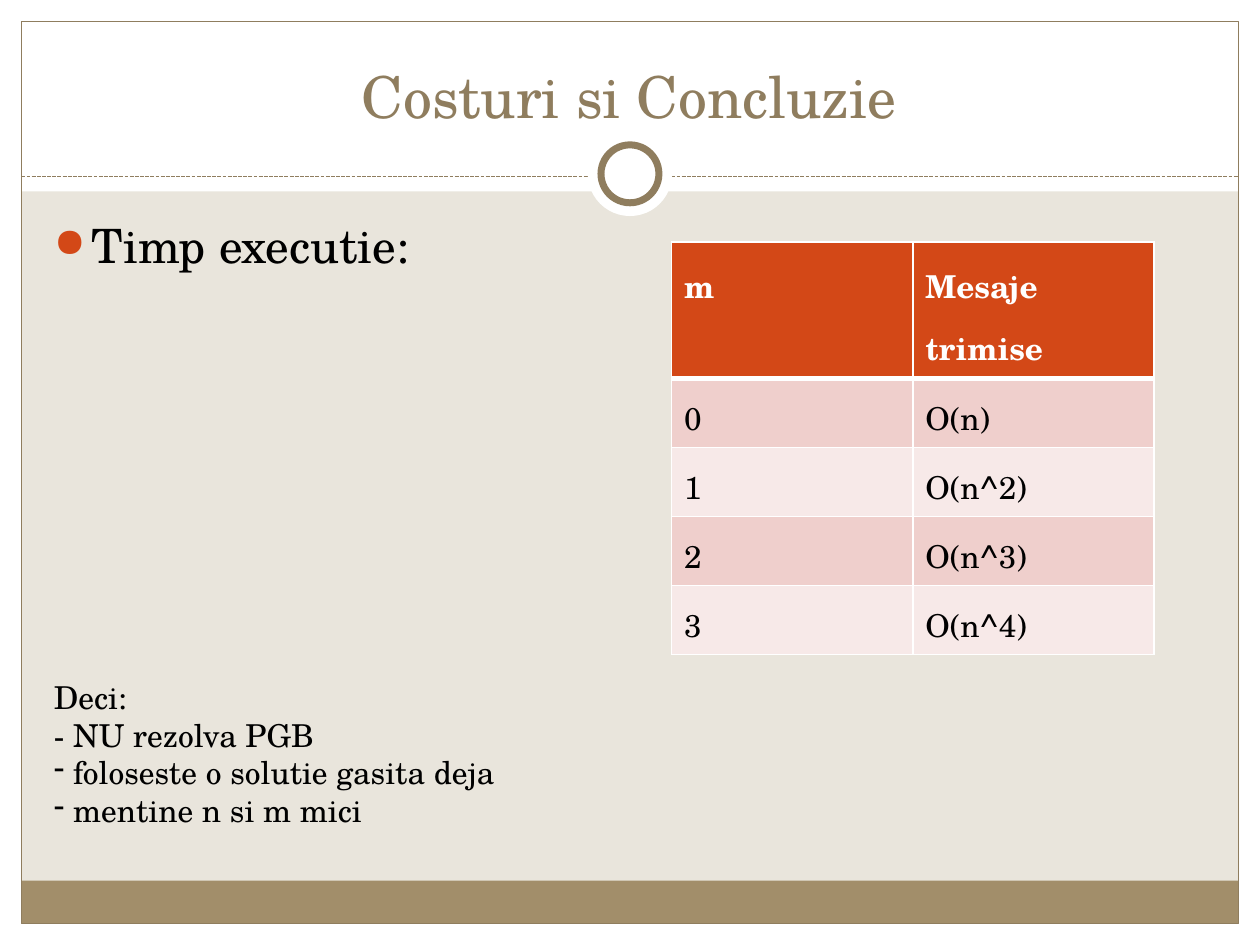
from dataclasses import dataclass

from lxml import etree
from pptx import Presentation
from pptx.dml.color import RGBColor
from pptx.enum.dml import MSO_LINE
from pptx.enum.shapes import MSO_CONNECTOR, MSO_SHAPE
from pptx.enum.text import MSO_ANCHOR, MSO_AUTO_SIZE, PP_ALIGN
from pptx.oxml.ns import qn
from pptx.util import Inches, Pt

RECT, OVAL = MSO_SHAPE.RECTANGLE, MSO_SHAPE.OVAL
STRAIGHT = MSO_CONNECTOR.STRAIGHT
SYS_DASH = MSO_LINE.SQUARE_DOT
CENTER = PP_ALIGN.CENTER
BOTTOM, TOP = MSO_ANCHOR.BOTTOM, MSO_ANCHOR.TOP
FIT_SHAPE, NO_FIT = MSO_AUTO_SIZE.SHAPE_TO_FIT_TEXT, MSO_AUTO_SIZE.NONE


@dataclass(frozen=True)
class Theme:
    font: str = "TeX Gyre Schola"
    title_size: float = 33
    body_size: float = 27
    text_size: float = 18
    white: str = "FFFFFF"
    black: str = "000000"
    sand: str = "E9E5DC"
    tan: str = "A28E6A"
    brown: str = "8F7D5E"
    accent: str = "D34817"
    bands: tuple = ("EFCFCC", "F7E9E8")


THEME = Theme()
W, H = 10, 7.5
EDGE = 0.17
RULE_Y = 1.4
RING_Y = 1.38
COSTS = [("m", "Mesaje trimise"), ("0", "O(n)"), ("1", "O(n^2)"),
         ("2", "O(n^3)"), ("3", "O(n^4)")]


def rgb(color):
    return RGBColor.from_string(color)


def inches(*lengths):
    return [Inches(v) for v in lengths]


def apply(obj, values):
    for name, value in values.items():
        setattr(obj, name, value)


def add_block(s, kind, box, fill=None, line=None, width=0.75):
    sp = s.shapes.add_shape(kind, *inches(*box))
    sp.shadow.inherit = False
    if fill:
        sp.fill.solid()
        sp.fill.fore_color.rgb = rgb(fill)
    else:
        sp.fill.background()
    if line:
        sp.line.color.rgb = rgb(line)
        sp.line.width = Pt(width)
    else:
        sp.line.fill.background()


def add_disc(s, size, **style):
    add_block(s, OVAL, ((W - size) / 2, RING_Y - size / 2, size, size),
              THEME.white, **style)


def add_rule(s):
    ln = s.shapes.add_connector(STRAIGHT, *inches(EDGE, RULE_Y, W - EDGE, RULE_Y))
    apply(ln.line, {"width": Pt(0.75), "dash_style": SYS_DASH})
    ln.line.color.rgb = rgb(THEME.brown)
    sp_pr = ln.element.find(qn("p:spPr"))
    etree.SubElement(sp_pr, qn("a:effectLst"))


def add_frame(s):
    inner = W - 2 * EDGE
    for box in ((0, H - EDGE, W, EDGE), (0, 0, W, 1.52),
                (0, 0, EDGE, H), (W - EDGE, 0, EDGE, H)):
        add_block(s, RECT, box, THEME.white)
    add_block(s, RECT, (EDGE, 6.99, inner, 0.34), THEME.tan)
    add_block(s, RECT, (EDGE, EDGE, inner, H - 2 * EDGE), line=THEME.brown)
    add_rule(s)
    add_disc(s, 0.67)
    add_disc(s, 0.46, line=THEME.brown, width=4)


def write(p, text, size, color, bold=False):
    r = p.add_run()
    r.text = text
    apply(r.font, {"name": THEME.font, "size": Pt(size), "bold": bold})
    r.font.color.rgb = rgb(color)


def add_bullet(p, char, color=None, percent=None):
    p_pr = p._p.get_or_add_pPr()
    if color:
        clr = etree.SubElement(p_pr, qn("a:buClr"))
        etree.SubElement(clr, qn("a:srgbClr"), val=color)
    if percent:
        etree.SubElement(p_pr, qn("a:buSzPct"), val=str(percent * 1000))
    etree.SubElement(p_pr, qn("a:buChar"), char=char)


def place_title(s, text):
    sp = s.shapes.title
    apply(sp, dict(zip(("left", "top", "width", "height"),
                       inches(0.33, 0.25, 9.33, 0.83))))
    tf = sp.text_frame
    apply(tf, {"vertical_anchor": BOTTOM, "word_wrap": True, "auto_size": NO_FIT})
    p = tf.paragraphs[0]
    p.alignment = CENTER
    write(p, text, THEME.title_size, THEME.brown)
    sp.element.getparent().append(sp.element)


def add_text(s, box, fit):
    tf = s.shapes.add_textbox(*inches(*box)).text_frame
    apply(tf, {"word_wrap": True, "auto_size": fit, "vertical_anchor": TOP})
    return tf


def add_heading(s, text):
    p = add_text(s, (0.33, 1.67, 9.3, 5), NO_FIT).paragraphs[0]
    p_pr = p._p.get_or_add_pPr()
    p_pr.set("marL", str(Inches(0.3)))
    p_pr.set("indent", str(-Inches(0.3)))
    add_bullet(p, "●", THEME.accent, 85)
    p.space_before = Pt(0.2 * THEME.body_size)
    write(p, text, THEME.body_size, THEME.black)


def add_conclusions(s, lines):
    tf = add_text(s, (0.33, 5.33, 5.42, 1.62), FIT_SHAPE)
    for i, (bullet, text) in enumerate(lines):
        p = tf.add_paragraph() if i else tf.paragraphs[0]
        if bullet:
            add_bullet(p, bullet)
        write(p, text, THEME.text_size, THEME.black)


def set_borders(cell, widths):
    tc_pr = cell._tc.get_or_add_tcPr()
    for side, width in widths.items():
        ln = etree.SubElement(tc_pr, qn(f"a:ln{side}"), w=str(Pt(width)))
        fill = etree.SubElement(ln, qn("a:solidFill"))
        etree.SubElement(fill, qn("a:srgbClr"), val=THEME.white)


def add_costs(s, rows):
    heights = [0.87] + [0.47] * (len(rows) - 1)
    box = inches(5.33, 1.92, 3.83, sum(heights))
    table = s.shapes.add_table(len(rows), len(rows[0]), *box).table
    for i, (values, height) in enumerate(zip(rows, heights)):
        table.rows[i].height = Inches(height)
        header = i == 0
        for j, text in enumerate(values):
            cell = table.cell(i, j)
            set_borders(cell, {"L": 1, "R": 1, "T": 3 if i == 1 else 1,
                               "B": 3 if header else 1})
            cell.fill.solid()
            cell.fill.fore_color.rgb = rgb(
                THEME.accent if header else THEME.bands[(i - 1) % 2])
            p = cell.text_frame.paragraphs[0]
            p.line_spacing = 1.27 if header else 1.22
            write(p, text, THEME.text_size,
                  THEME.white if header else THEME.black, header)


def main():
    prs = Presentation()
    prs.slide_width, prs.slide_height = inches(W, H)
    s = prs.slides.add_slide(prs.slide_layouts[5])
    s.background.fill.solid()
    s.background.fill.fore_color.rgb = rgb(THEME.sand)
    add_frame(s)
    place_title(s, "Costuri si Concluzie")
    add_heading(s, "Timp executie:")
    add_costs(s, COSTS)
    add_conclusions(s, [(None, "Deci:"), (None, "- NU rezolva PGB"),
                        ("-", " foloseste o solutie gasita deja"),
                        ("-", " mentine n si m mici")])
    prs.save("out.pptx")


if __name__ == "__main__":
    main()
